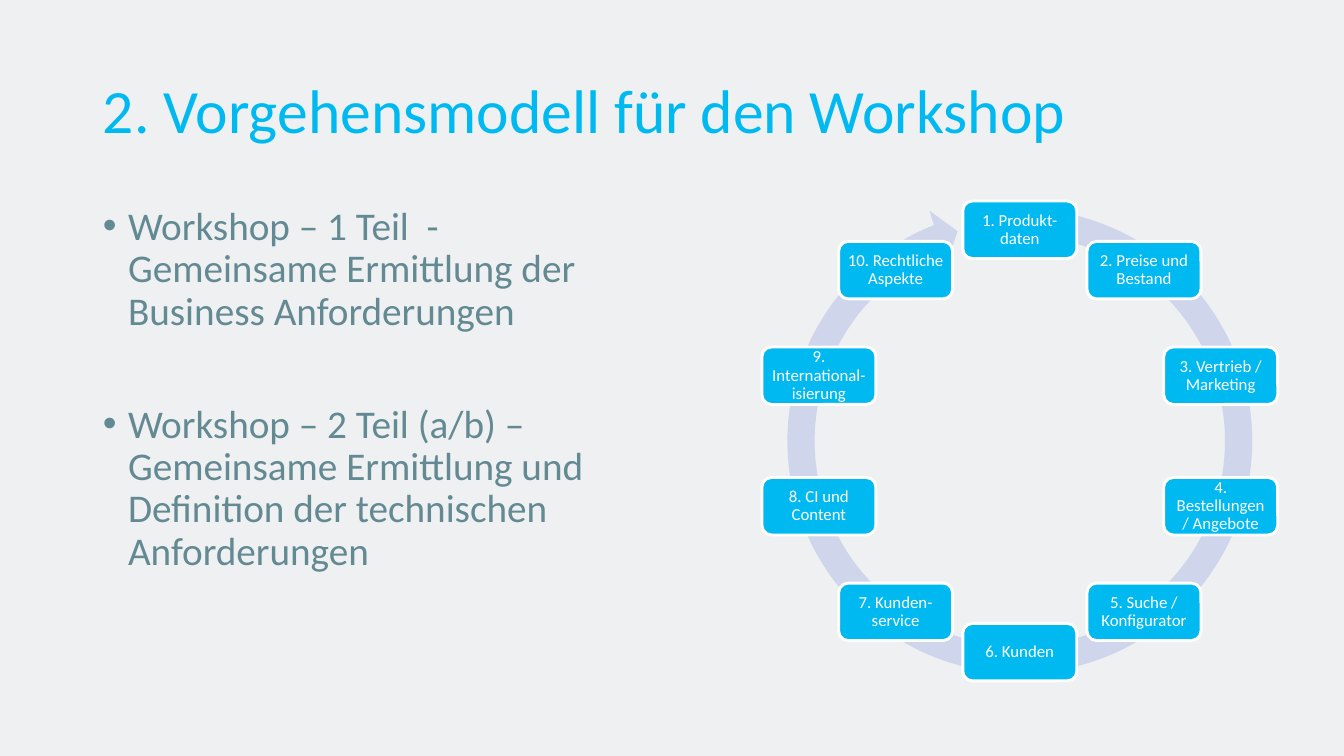
import math

import pptx
import pptx.dml.color
import pptx.enum.shapes
import pptx.enum.text
import pptx.util

Inches, Pt = pptx.util.Inches, pptx.util.Pt
RGBColor = pptx.dml.color.RGBColor
SHAPE = pptx.enum.shapes.MSO_SHAPE
ALIGN = pptx.enum.text.PP_ALIGN
ANCHOR = pptx.enum.text.MSO_ANCHOR

BACKGROUND = RGBColor(0xEE, 0xF0, 0xF1)
ACCENT = RGBColor(0x00, 0xB9, 0xF1)
BODY_GREY = RGBColor(0x63, 0x89, 0x92)
RING_BLUE = RGBColor(0xCF, 0xD5, 0xEA)
WHITE = RGBColor(0xFF, 0xFF, 0xFF)

SLIDE_WIDTH, SLIDE_HEIGHT = Inches(13.33), Inches(7.5)
MARGIN = 0.92
RING_CENTRE = (10.115, 4.375)
RING_RADIUS = 2.095
ARROW_SIZE = 4.91
ARROW_ADJUSTMENTS = (0.055, 3.307, 148.779, 167.455, 0.058)
TOPIC_WIDTH, TOPIC_HEIGHT = 1.13, 0.57

TITLE = "2. Vorgehensmodell für den Workshop"
WORKSHOP_PARTS = (
    "Workshop – 1 Teil  - Gemeinsame Ermittlung der Business Anforderungen",
    "Workshop – 2 Teil (a/b) – Gemeinsame Ermittlung und Definition der "
    "technischen Anforderungen",
)
TOPICS = (
    "1. Produkt-daten",
    "2. Preise und Bestand",
    "3. Vertrieb / Marketing",
    "4. Bestellungen / Angebote",
    "5. Suche / Konfigurator",
    "6. Kunden",
    "7. Kunden-service",
    "8. CI und Content",
    "9. International-isierung",
    "10. Rechtliche Aspekte",
)

TITLE_FONT = {"size": Pt(44), "name": "Calibri"}
BODY_FONT = {"size": Pt(28), "name": "Calibri"}
TOPIC_FONT = {"size": Pt(12), "name": "Calibri"}
TITLE_PARAGRAPH = {"alignment": ALIGN.LEFT, "line_spacing": 0.9}
BODY_PARAGRAPH = {"line_spacing": 0.9, "space_before": Pt(10)}
TOPIC_PARAGRAPH = {"alignment": ALIGN.CENTER, "line_spacing": 0.9,
                   "space_after": Pt(4.2)}
FRAME = {"word_wrap": True, "auto_size": pptx.enum.text.MSO_AUTO_SIZE.NONE}
TOPIC_FRAME = FRAME | {"vertical_anchor": ANCHOR.MIDDLE} | {
    f"margin_{side}": Inches(0.05)
    for side in ("left", "top", "right", "bottom")}


def apply(target, values):
    for attribute, value in values.items():
        setattr(target, attribute, value)


def box(left, top, width, height):
    return {"left": Inches(left), "top": Inches(top),
            "width": Inches(width), "height": Inches(height)}


def write(paragraph, wording, layout, font, colour):
    apply(paragraph, layout)
    run = paragraph.add_run()
    run.text = wording
    apply(run.font, font)
    run.font.color.rgb = colour


def fill_title(title):
    apply(title, box(MARGIN, 0.4, 11.5, 1.45))
    apply(title.text_frame, FRAME | {"vertical_anchor": ANCHOR.MIDDLE})
    write(title.text_frame.paragraphs[0], TITLE, TITLE_PARAGRAPH, TITLE_FONT, ACCENT)


def fill_workshop_list(body):
    apply(body, box(MARGIN, 2, 5.67, 4.76))
    frame = body.text_frame
    apply(frame, FRAME)
    for index, part in enumerate(WORKSHOP_PARTS):
        item = frame.add_paragraph() if index else frame.paragraphs[0]
        write(item, part, BODY_PARAGRAPH, BODY_FONT, BODY_GREY)
        properties = item._p.get_or_add_pPr()
        properties.set("marL", str(Inches(0.25)))
        properties.set("indent", str(Inches(-0.25)))
        if index:
            item.space_before = Pt(50.5)


def add_centred(shapes, preset, centre, width, height, colour):
    """Add a flat filled preset shape around a centre given in inches."""
    area = box(centre[0] - width / 2, centre[1] - height / 2, width, height)
    shape = shapes.add_shape(preset, **area)
    shape.shadow.inherit = False
    shape.fill.solid()
    shape.fill.fore_color.rgb = colour
    return shape


def add_ring_arrow(shapes):
    arrow = add_centred(shapes, SHAPE.CIRCULAR_ARROW, RING_CENTRE,
                        ARROW_SIZE, ARROW_SIZE, RING_BLUE)
    arrow.line.fill.background()
    for index, value in enumerate(ARROW_ADJUSTMENTS):
        arrow.adjustments[index] = value


def add_topic(shapes, wording, angle):
    """Place one topic on the ring, with the angle clockwise from the top."""
    centre = (RING_CENTRE[0] + RING_RADIUS * math.sin(angle),
              RING_CENTRE[1] - RING_RADIUS * math.cos(angle))
    topic = add_centred(shapes, SHAPE.ROUNDED_RECTANGLE, centre,
                        TOPIC_WIDTH, TOPIC_HEIGHT, ACCENT)
    topic.line.color.rgb = WHITE
    topic.line.width = Pt(2)
    apply(topic.text_frame, TOPIC_FRAME)
    write(topic.text_frame.paragraphs[0], wording, TOPIC_PARAGRAPH, TOPIC_FONT, WHITE)


def main():
    presentation = pptx.Presentation()
    apply(presentation, {"slide_width": SLIDE_WIDTH, "slide_height": SLIDE_HEIGHT})
    slide = presentation.slides.add_slide(presentation.slide_layouts[1])
    slide.background.fill.solid()
    slide.background.fill.fore_color.rgb = BACKGROUND

    fill_title(slide.shapes.title)
    fill_workshop_list(slide.placeholders[1])

    cycle = slide.shapes.add_group_shape().shapes
    add_ring_arrow(cycle)
    for index, topic in enumerate(TOPICS):
        add_topic(cycle, topic, math.tau * index / len(TOPICS))

    presentation.save("out.pptx")


if __name__ == "__main__":
    main()
